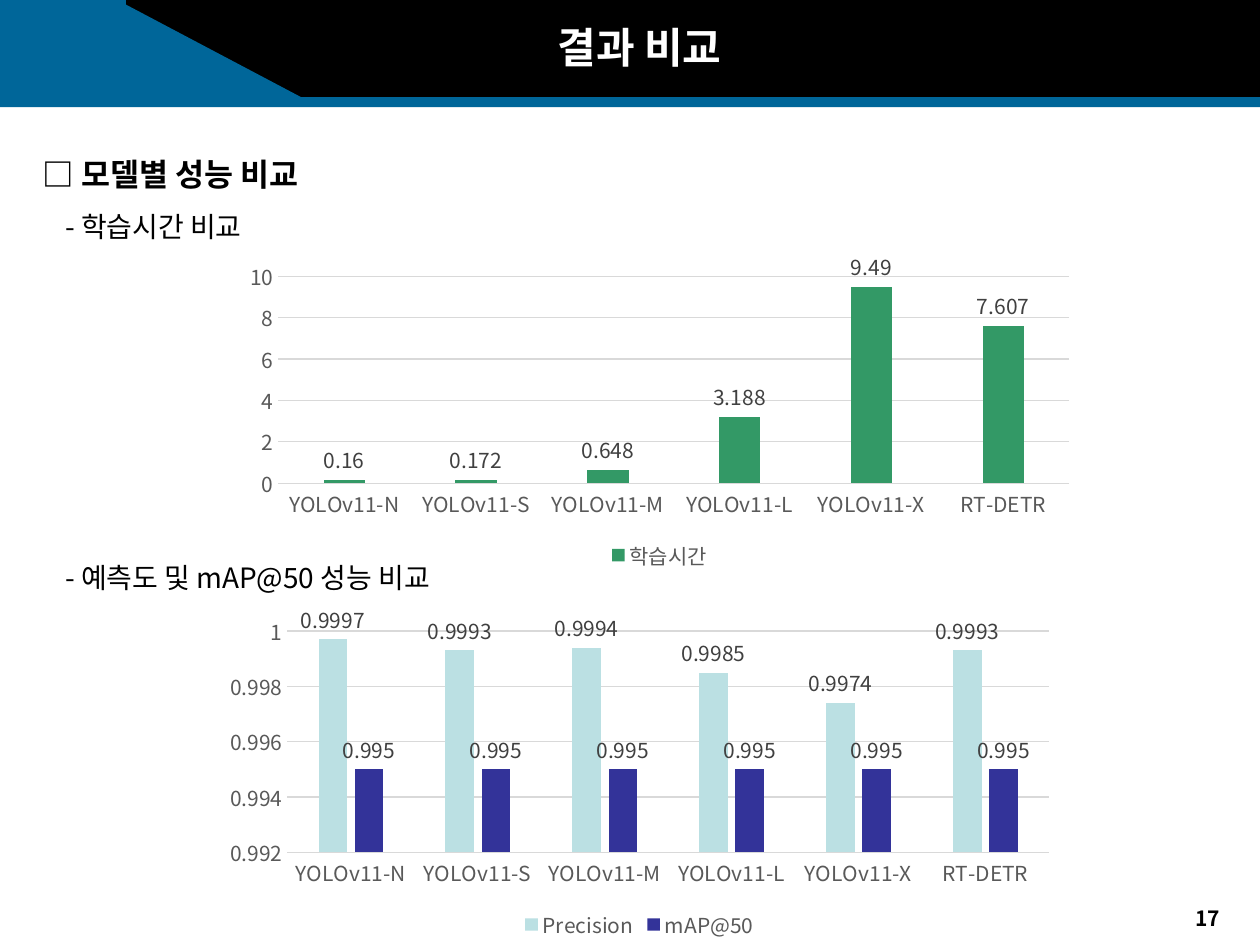
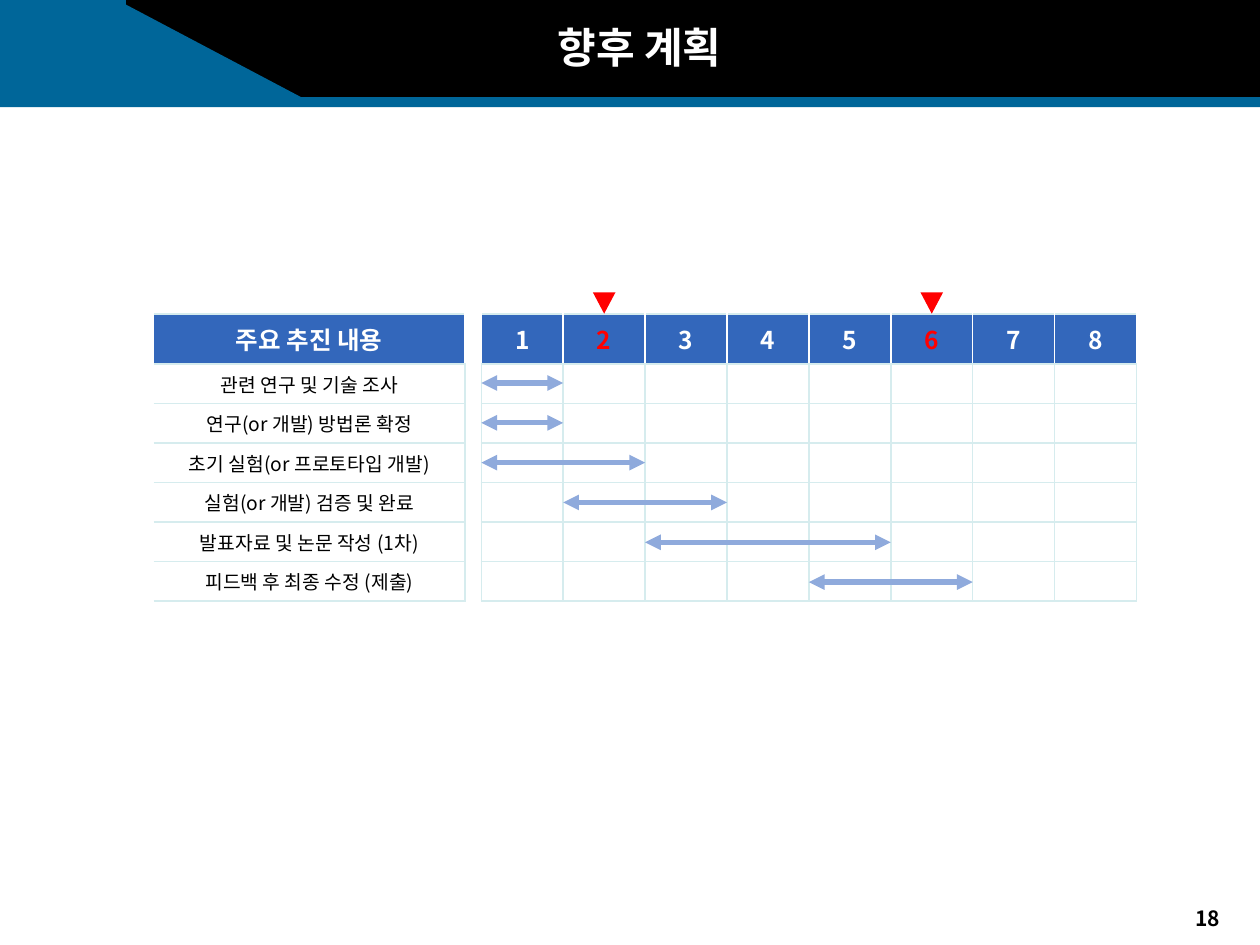
from dataclasses import dataclass
from typing import Any

from lxml.etree import SubElement
from pptx import Presentation
from pptx.chart.data import CategoryChartData
from pptx.dml.color import RGBColor
from pptx.enum.chart import XL_CHART_TYPE, XL_LABEL_POSITION, XL_LEGEND_POSITION, XL_TICK_MARK
from pptx.enum.shapes import MSO_CONNECTOR, MSO_SHAPE
from pptx.enum.text import MSO_ANCHOR, PP_ALIGN
from pptx.oxml.ns import qn
from pptx.slide import Slide
from pptx.util import Inches, Pt

FACE = "Noto Sans CJK KR"
BLACK = RGBColor(0x00, 0x00, 0x00)
WHITE = RGBColor(0xFF, 0xFF, 0xFF)
RED = RGBColor(0xFF, 0x00, 0x00)
BLUE = RGBColor(0x00, 0x66, 0x99)
HEAD = RGBColor(0x33, 0x67, 0xBB)
EDGE = RGBColor(0xD6, 0xEC, 0xEE)
ARROW = RGBColor(0x8F, 0xAA, 0xDC)
GRID = RGBColor(0xD9, 0xD9, 0xD9)
GRAY = RGBColor(0x59, 0x59, 0x59)
DARK = RGBColor(0x40, 0x40, 0x40)
GREEN = RGBColor(0x33, 0x99, 0x66)
PALE = RGBColor(0xBB, 0xE0, 0xE3)
NAVY = RGBColor(0x33, 0x33, 0x99)

MODELS = ["YOLOv11-N", "YOLOv11-S", "YOLOv11-M", "YOLOv11-L", "YOLOv11-X", "RT-DETR"]
TASKS = [
    "관련 연구 및 기술 조사",
    "연구(or 개발) 방법론 확정",
    "초기 실험(or 프로토타입 개발)",
    "실험(or 개발) 검증 및 완료",
    "발표자료 및 논문 작성 (1차)",
    "피드백 후 최종 수정 (제출)",
]
MONTHS = 8
MARKS = (2, 6)
TOP, LEFT, STEP = 2.49, 3.82, 0.65
TALL, HIGH = 0.4, 2.28


@dataclass
class Box:
    left: float
    top: float
    width: float
    height: float

    def place(self) -> list:
        return [Inches(n) for n in (self.left, self.top, self.width, self.height)]


@dataclass
class Band:
    kind: Any
    box: Box
    color: RGBColor


@dataclass
class Line:
    text: str
    size: int = 16
    bold: bool = False
    color: RGBColor = BLACK
    indent: float = 0
    before: int = 0


@dataclass
class Series:
    name: str
    values: list[float]
    color: RGBColor


@dataclass
class Graph:
    box: Box
    low: float
    high: float
    unit: float
    series: list[Series]


@dataclass
class Span:
    first: int
    last: int


BANDS = [
    Band(MSO_SHAPE.RECTANGLE, Box(0.93, 0, 9.07, 0.84), BLACK),
    Band(MSO_SHAPE.RIGHT_TRIANGLE, Box(0.93, 0, 1.59, 0.84), BLUE),
    Band(MSO_SHAPE.RECTANGLE, Box(0, 0, 1, 0.84), BLUE),
    Band(MSO_SHAPE.RECTANGLE, Box(0, 0.77, 10, 0.08), BLUE),
]
GRAPHS = [
    Graph(Box(1.69, 4.79, 6.77, 2.71), 0.992, 1, 0.002, [
        Series("Precision", [0.9997, 0.9993, 0.9994, 0.9985, 0.9974, 0.9993], PALE),
        Series("mAP@50", [0.995] * len(MODELS), NAVY),
    ]),
    Graph(Box(1.85, 1.99, 6.77, 2.58), 0, 10, 2, [
        Series("학습시간", [0.16, 0.172, 0.648, 3.188, 9.49, 7.607], GREEN),
    ]),
]
SPANS = [Span(1, 1), Span(1, 1), Span(1, 2), Span(2, 3), Span(3, 5), Span(5, 6)]


def apply(item: Any, form: dict) -> None:
    for key, value in form.items():
        setattr(item, key, value)


def set_font(font: Any, size: int, color: RGBColor, bold: bool = False) -> None:
    apply(font, {"size": Pt(size), "bold": bold, "name": FACE})
    font.color.rgb = color
    SubElement(font._element, qn("a:ea"), typeface=FACE)


def add_line(par: Any, line: Line, align: Any) -> None:
    par.alignment = align
    run = par.add_run()
    run.text = line.text
    set_font(run.font, line.size, line.color, line.bold)


def add_text(slide: Slide, box: Box, lines: list[Line], align: Any, space: float = 1) -> None:
    frame = slide.shapes.add_textbox(*box.place()).text_frame
    frame.word_wrap = True
    for pos, line in enumerate(lines):
        par = frame.add_paragraph() if pos else frame.paragraphs[0]
        add_line(par, line, align)
        par.line_spacing = space
        if line.before:
            par.space_before = Pt(line.before)
        if line.indent:
            par._p.get_or_add_pPr().set("marL", str(Inches(line.indent)))


def add_band(slide: Slide, band: Band) -> None:
    shape = slide.shapes.add_shape(band.kind, *band.box.place())
    shape.shadow.inherit = False
    shape.fill.solid()
    shape.fill.fore_color.rgb = band.color
    shape.line.fill.background()


def add_page(deck: Any, title: str, page: int) -> Slide:
    slide = deck.slides.add_slide(deck.slide_layouts[6])
    add_text(slide, Box(9.31, 7.14, 0.55, 0.3), [Line(str(page), 12, True)], PP_ALIGN.CENTER)
    for band in BANDS:
        add_band(slide, band)
    add_text(slide, Box(2.32, 0.12, 5.51, 0.5), [Line(title, 24, True, WHITE)], PP_ALIGN.CENTER)
    return slide


def add_graph(slide: Slide, graph: Graph) -> None:
    data = CategoryChartData()
    data.categories = MODELS
    for item in graph.series:
        data.add_series(item.name, item.values)
    chart = slide.shapes.add_chart(XL_CHART_TYPE.COLUMN_CLUSTERED, *graph.box.place(), data).chart
    apply(chart, {"has_title": False, "has_legend": True})
    set_font(chart.font, 10, BLACK)
    apply(chart.legend, {"position": XL_LEGEND_POSITION.BOTTOM, "include_in_layout": False})
    set_font(chart.legend.font, 12, GRAY)
    marks = {"major_tick_mark": XL_TICK_MARK.NONE, "minor_tick_mark": XL_TICK_MARK.NONE}
    for axis in (chart.category_axis, chart.value_axis):
        apply(axis, marks)
        set_font(axis.tick_labels.font, 12, GRAY)
    scale = chart.value_axis
    apply(scale, {"minimum_scale": graph.low, "maximum_scale": graph.high,
                  "major_unit": graph.unit, "has_major_gridlines": True})
    scale.format.line.fill.background()
    for rule in (chart.category_axis.format.line, scale.major_gridlines.format.line):
        rule.color.rgb = GRID
        rule.width = Pt(0.75)
    plot = chart.plots[0]
    apply(plot, {"gap_width": 219, "overlap": -27, "vary_by_categories": False})
    for bar, item in zip(plot.series, graph.series):
        bar.format.fill.solid()
        bar.format.fill.fore_color.rgb = item.color
        apply(bar.data_labels, {"show_value": True, "position": XL_LABEL_POSITION.OUTSIDE_END})
        set_font(bar.data_labels.font, 12, DARK)


def set_edge(cell: Any, side: str, color: RGBColor | None) -> None:
    edge = SubElement(cell._tc.get_or_add_tcPr(), qn(f"a:ln{side}"), w=str(Pt(1)))
    if color is None:
        SubElement(edge, qn("a:noFill"))
    else:
        SubElement(SubElement(edge, qn("a:solidFill")), qn("a:srgbClr"), val=str(color))


def fill_cell(cell: Any, line: Line, head: bool, open_left: bool) -> None:
    apply(cell, {"vertical_anchor": MSO_ANCHOR.MIDDLE,
                 "margin_top": Inches(0.02), "margin_bottom": Inches(0.02)})
    side = WHITE if head else EDGE
    edges = {"L": None if open_left else side, "R": side, "T": EDGE, "B": EDGE}
    for name, color in edges.items():
        set_edge(cell, name, color)
    if head:
        cell.fill.solid()
        cell.fill.fore_color.rgb = HEAD
    else:
        cell.fill.background()
    par = cell.text_frame.paragraphs[0]
    if line.text:
        add_line(par, line, PP_ALIGN.CENTER)
    else:
        SubElement(par._p, qn("a:endParaRPr"), sz="1100")


def add_grid(slide: Slide, box: Box, rows: list[list[Line]], open_left: bool = False) -> None:
    table = slide.shapes.add_table(len(rows), len(rows[0]), *box.place()).table
    apply(table, {"first_row": False, "horz_banding": False})
    for column in table.columns:
        column.width = Inches(box.width / len(rows[0]))
    for pos, row in enumerate(rows):
        table.rows[pos].height = Inches((HIGH - TALL) / len(TASKS) if pos else TALL)
        for col, line in enumerate(row):
            fill_cell(table.cell(pos, col), line, pos == 0, open_left)


def add_arrow(slide: Slide, span: Span, pos: int) -> None:
    start, end = (Inches(LEFT + STEP * n) for n in (span.first - 1, span.last))
    level = Inches(3.04 + 1.58 / 5 * pos)
    arrow = slide.shapes.add_connector(MSO_CONNECTOR.STRAIGHT, start, level, end, level)
    arrow.line.color.rgb = ARROW
    arrow.line.width = Pt(3)
    for tip in ("a:headEnd", "a:tailEnd"):
        SubElement(arrow.line._get_or_add_ln(), qn(tip), type="triangle")
    SubElement(arrow._element.spPr, qn("a:effectLst"))


def add_scores(deck: Any) -> None:
    slide = add_page(deck, "결과 비교", 17)
    add_text(slide, Box(0.24, 1.03, 9.69, 4.64), [
        Line("□ 모델별 성능 비교", 18, True),
        Line("- 학습시간 비교", indent=0.18),
        Line("- 예측도 및 mAP@50 성능 비교", indent=0.18, before=172),
    ], PP_ALIGN.JUSTIFY, 1.5)
    for graph in GRAPHS:
        add_graph(slide, graph)


def add_plan(deck: Any) -> None:
    slide = add_page(deck, "향후 계획", 18)
    months = [Line(str(n), 14, True, RED if n in MARKS else WHITE) for n in range(1, MONTHS + 1)]
    blanks = [[Line("")] * MONTHS for _ in TASKS]
    add_grid(slide, Box(LEFT, TOP, STEP * MONTHS, HIGH), [months] + blanks)
    tasks = [[Line("주요 추진 내용", 14, True, WHITE)]] + [[Line(task, 11)] for task in TASKS]
    add_grid(slide, Box(1.22, TOP, 2.47, HIGH), tasks, True)
    for month in MARKS:
        left = LEFT + STEP * (month - 0.5) - 0.09
        add_band(slide, Band(MSO_SHAPE.FLOWCHART_MERGE, Box(left, 2.32, 0.18, 0.17), RED))
    for pos, span in enumerate(SPANS):
        add_arrow(slide, span, pos)


def main() -> None:
    deck = Presentation()
    apply(deck, {"slide_width": Inches(10), "slide_height": Inches(7.5)})
    add_scores(deck)
    add_plan(deck)
    deck.save("out.pptx")


if __name__ == "__main__":
    main()
